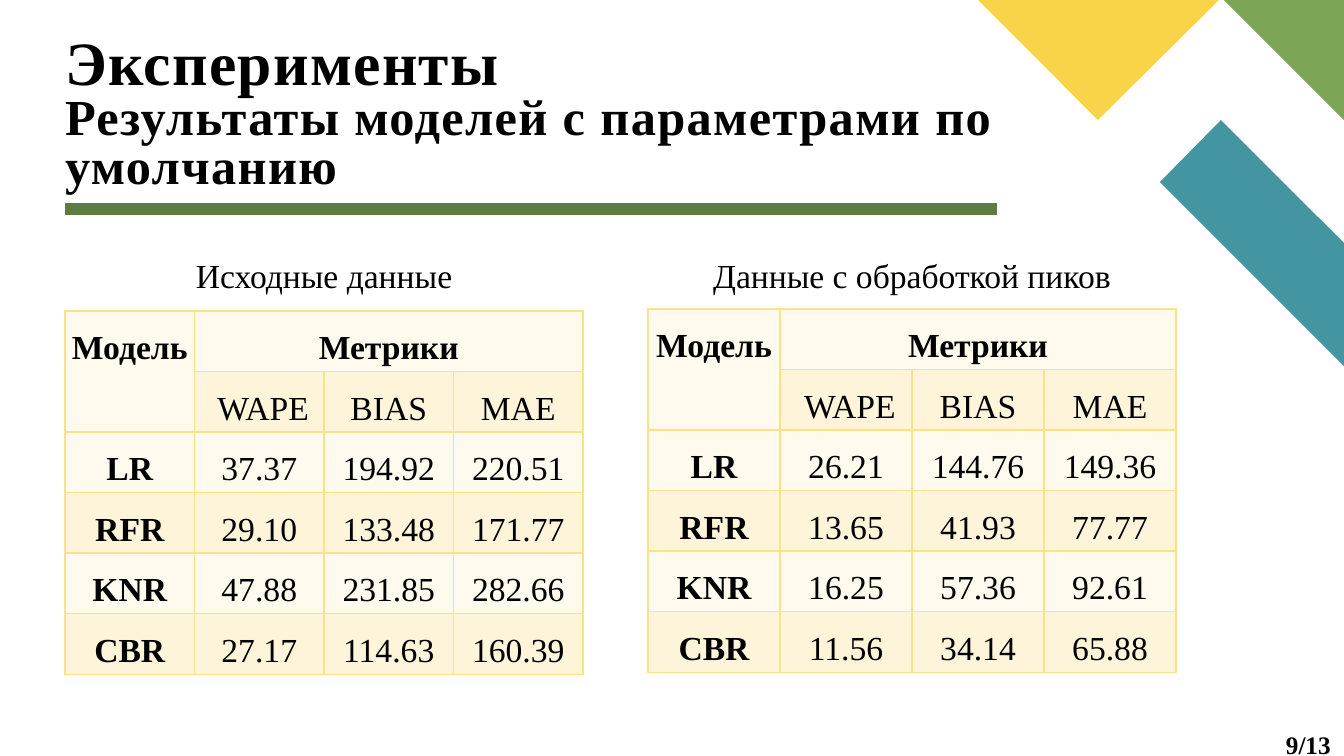
import lxml.etree
import pptx
import pptx.dml.color
import pptx.enum.shapes
import pptx.enum.text
import pptx.oxml
import pptx.oxml.ns
import pptx.util

RGBColor = pptx.dml.color.RGBColor
Pt = pptx.util.Pt
Align = pptx.enum.text.PP_ALIGN
Anchor = pptx.enum.text.MSO_ANCHOR

SLIDE_WIDTH, SLIDE_HEIGHT = 1344, 756
EMU_PER_PX = 12192000 / SLIDE_WIDTH

BLACK = RGBColor(0x00, 0x00, 0x00)
TEAL = RGBColor(0x44, 0x95, 0xA2)
GREEN = RGBColor(0x7C, 0xA6, 0x55)
YELLOW = RGBColor(0xF9, 0xD4, 0x48)
DARK_GREEN = RGBColor(0x5D, 0x7D, 0x40)
BORDER = RGBColor(0xFB, 0xE2, 0x84)
ROW_FILLS = RGBColor(0xFE, 0xFA, 0xED), RGBColor(0xFD, 0xF4, 0xD9)

HEADER = [
    ["Модель", "Метрики", "", ""],
    ["", " WAPE", "BIAS", "MAE"],
]
RAW_SCORES = [
    ["LR", "37.37", "194.92", "220.51"],
    ["RFR", "29.10", "133.48", "171.77"],
    ["KNR", "47.88", "231.85", "282.66"],
    ["CBR", "27.17", "114.63", "160.39"],
]
PEAK_SCORES = [
    ["LR", "26.21", "144.76", "149.36"],
    ["RFR", "13.65", "41.93", "77.77"],
    ["KNR", "16.25", "57.36", "92.61"],
    ["CBR", "11.56", "34.14", "65.88"],
]


def px(length):
    return pptx.util.Emu(round(length * EMU_PER_PX))


class SlideBuilder:
    font_name = "Times New Roman"

    def __init__(self, slide):
        self.slide = slide
        self.shapes = slide.shapes

    def style_font(self, font, size, bold=False):
        font.name = self.font_name
        font.size = Pt(size)
        font.bold = bold
        font.color.rgb = BLACK

    def clear_margins(self, frame):
        frame.margin_left = frame.margin_right = 0
        frame.margin_top = frame.margin_bottom = 0

    def polygon(self, points, color):
        start, *rest = points
        builder = self.shapes.build_freeform(*start, scale=EMU_PER_PX)
        builder.add_line_segments(rest, close=True)
        shape = builder.convert_to_shape()
        shape.shadow.inherit = False
        shape.fill.solid()
        shape.fill.fore_color.rgb = color
        shape.line.fill.background()

    def title(self, left, top, width, height, lines):
        """Fill the title placeholder with (text, size) lines."""
        title = self.shapes.title
        title.left, title.top = px(left), px(top)
        title.width, title.height = px(width), px(height)
        frame = title.text_frame
        self.clear_margins(frame)
        frame.word_wrap = True
        frame.auto_size = pptx.enum.text.MSO_AUTO_SIZE.NONE
        frame.vertical_anchor = Anchor.BOTTOM
        paragraph = frame.paragraphs[0]
        paragraph.alignment = Align.LEFT
        paragraph.line_spacing = 0.8
        for index, (text, size) in enumerate(lines):
            if index:
                paragraph.add_line_break()
            run = paragraph.add_run()
            run.text = text
            self.style_font(run.font, size, bold=True)
            run.font._element.set("spc", "100")

    def text(self, left, top, width, height, text, size, bold=False,
             align=Align.LEFT, margins=True):
        box = self.shapes.add_textbox(px(left), px(top), px(width), px(height))
        frame = box.text_frame
        frame.word_wrap = True
        if not margins:
            self.clear_margins(frame)
        paragraph = frame.paragraphs[0]
        paragraph.text = text
        paragraph.alignment = align
        self.style_font(paragraph.font, size, bold)

    def rule(self, left, right, y, color, weight):
        line = self.shapes.add_connector(
            pptx.enum.shapes.MSO_CONNECTOR.STRAIGHT, px(left), px(y), px(right), px(y))
        line.line.color.rgb = color
        line.line.width = Pt(weight)
        lxml.etree.SubElement(line._element.spPr, pptx.oxml.ns.qn("a:effectLst"))

    def cell_borders(self, cell):
        properties = cell._tc.get_or_add_tcPr()
        for index, side in enumerate("LRTB"):
            properties.insert(index, pptx.oxml.parse_xml(
                f'<a:ln{side} {pptx.oxml.ns.nsdecls("a")} w="{Pt(1)}">'
                f'<a:solidFill><a:srgbClr val="{BORDER}"/></a:solidFill></a:ln{side}>'))

    def score_table(self, left, top, width, scores):
        rows = HEADER + scores
        row_height = px(53)
        table = self.shapes.add_table(
            len(rows), len(rows[0]), px(left), px(top), px(width),
            row_height * len(rows)).table
        table.first_row = table.horz_banding = False
        for row_index, row in enumerate(rows):
            for column_index, value in enumerate(row):
                cell = table.cell(row_index, column_index)
                cell.margin_left = cell.margin_right = px(5)
                cell.margin_top = cell.margin_bottom = 0
                cell.fill.solid()
                cell.fill.fore_color.rgb = ROW_FILLS[row_index % 2]
                self.cell_borders(cell)
                paragraph = cell.text_frame.paragraphs[0]
                paragraph.text = value
                paragraph.alignment = Align.CENTER
                paragraph.line_spacing = 1.5
                paragraph.space_after = Pt(10)
                self.style_font(paragraph.font, 24,
                                bold=row_index == 0 or column_index == 0)
        table.cell(0, 0).merge(table.cell(1, 0))
        table.cell(0, 1).merge(table.cell(0, 3))


def main():
    presentation = pptx.Presentation()
    presentation.slide_width = px(SLIDE_WIDTH)
    presentation.slide_height = px(SLIDE_HEIGHT)
    title_only = presentation.slide_layouts[5]
    builder = SlideBuilder(presentation.slides.add_slide(title_only))

    builder.polygon([(1160, 182), (1221, 120), (1344, 243), (1344, 366)], TEAL)
    builder.polygon([(1224, 0), (1344, 0), (1344, 120)], GREEN)
    builder.polygon([(978, 0), (1219, 0), (1098, 120)], YELLOW)

    builder.title(65, 30, 1077, 164, [
        ("Эксперименты", 44),
        ("Результаты моделей с параметрами по умолчанию", 36),
    ])
    builder.rule(65, 997, 209, DARK_GREEN, 8)

    for caption, left, top, width, scores in (
        ("Исходные данные", 65, 311, 518, RAW_SCORES),
        ("Данные с обработкой пиков", 648, 309, 528, PEAK_SCORES),
    ):
        builder.text(left, 250, width, 50, caption, 24, align=Align.CENTER)
        builder.score_table(left, top, width, scores)

    builder.text(1286, 729, 58, 27, "9/13", 18, bold=True, margins=False)
    presentation.save("out.pptx")


if __name__ == "__main__":
    main()
